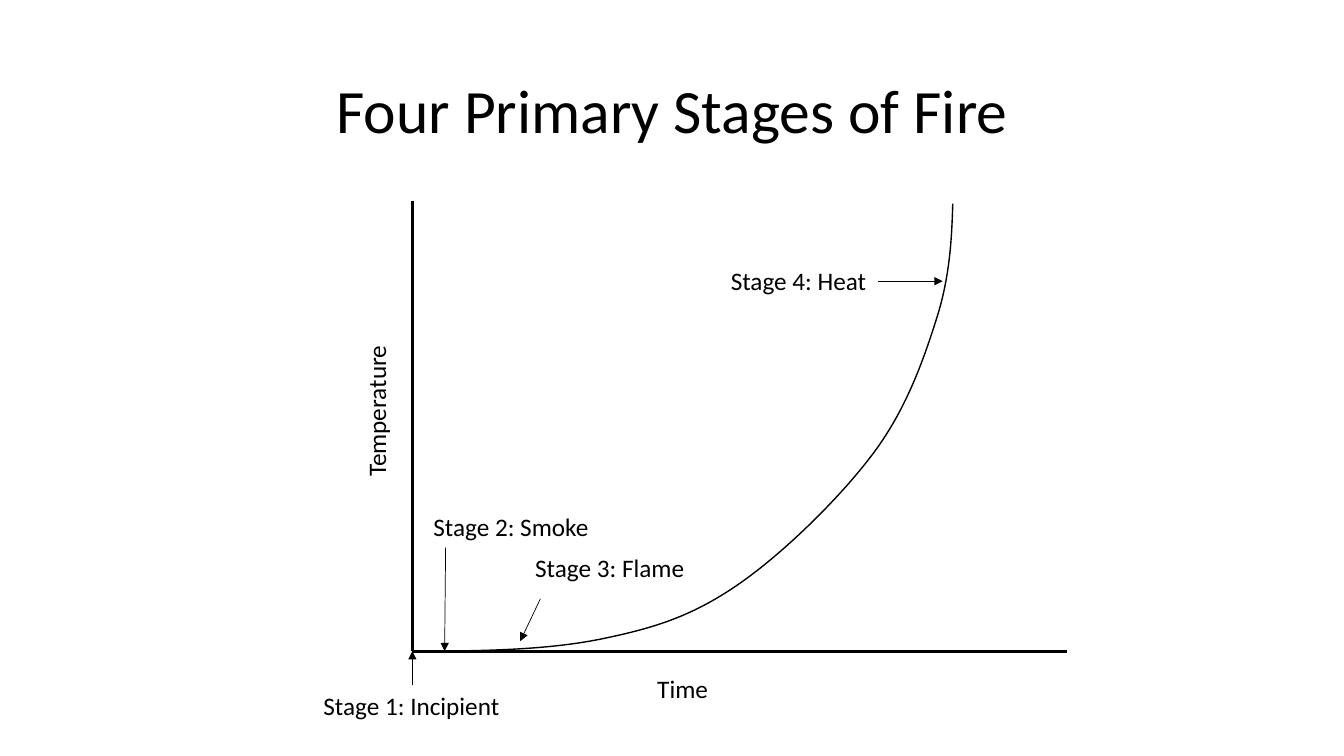
"""Build the slide on the four primary stages of fire."""
from lxml import etree
from pptx import Presentation
from pptx.dml.color import RGBColor
from pptx.enum import shapes, text
from pptx.oxml.ns import qn
from pptx.util import Inches, Pt

BLACK = RGBColor(0, 0, 0)

deck = Presentation()
deck.slide_width, deck.slide_height = Inches(13.33), Inches(7.5)
slide = deck.slides.add_slide(deck.slide_layouts[5])


def write(box, words, size):
    box.text_frame.text = words
    para = box.text_frame.paragraphs[0]
    para.font.name, para.font.size = "Calibri", Pt(size)
    para.font.color.rgb = BLACK
    return para


def rule(x1, y1, x2, y2, width):
    line = slide.shapes.add_connector(
        shapes.MSO_CONNECTOR.STRAIGHT, *map(Inches, (x1, y1, x2, y2)))
    line.line.color.rgb, line.line.width = BLACK, Pt(width)
    etree.SubElement(line._element.spPr, qn("a:effectLst"))
    return line


title = slide.shapes.title
title.left, title.top = Inches(0.92), Inches(0.4)
title.width, title.height = Inches(11.5), Inches(1.45)
title.text_frame.vertical_anchor = text.MSO_ANCHOR.MIDDLE
head = write(title, "Four Primary Stages of Fire", 44)
head.alignment, head.line_spacing = text.PP_ALIGN.CENTER, 0.9

left, base = 4.09, 6.46
rule(left, 1.99, left, base, 2)
rule(10.58, base, left, base, 2)

knots = [(4.11, 6.46), (4.77, 6.46), (5.42, 6.45), (5.96, 6.34),
         (6.5, 6.23), (6.87, 6.11), (7.32, 5.8),
         (7.77, 5.49), (8.33, 4.94), (8.66, 4.5),
         (8.99, 4.06), (9.16, 3.57), (9.29, 3.16),
         (9.42, 2.75), (9.44, 2.38), (9.45, 2.02)]
trace = slide.shapes.build_freeform(*map(Inches, knots[0]))
trace.add_line_segments([(Inches(x), Inches(y)) for x, y in knots[1:]], close=False)
curve = trace.convert_to_shape()
legs = list(curve._element.iter(qn("a:lnTo")))
for first in range(0, len(legs), 3):
    bend = etree.SubElement(legs[first].getparent(), qn("a:cubicBezTo"))
    for leg in legs[first:first + 3]:
        bend.append(leg[0])
        leg.getparent().remove(leg)
curve.shadow.inherit = False
curve.fill.background()
curve.line.color.rgb, curve.line.width = BLACK, Pt(1)

for ends in [(8.71, 2.79, 9.35, 2.79), (4.42, 5.43, 4.41, base),
             (5.36, 5.94, 5.16, 6.36), (left, 6.8, left, base)]:
    arrow = rule(*ends, 0.5)
    etree.SubElement(arrow.line._get_or_add_ln(), qn("a:tailEnd"), type="triangle")

for words, x, y, width, turn in [
        ("Stage 1: Incipient", 3.11, 6.8, 1.97, 0),
        ("Stage 2: Smoke", 4.2, 5.02, 1.76, 0),
        ("Stage 3: Flame", 5.21, 5.43, 1.7, 0),
        ("Stage 4: Heat", 7.15, 2.58, 1.56, 0),
        ("Time", 6.42, 6.63, 0.71, 0),
        ("Temperature", 2.97, 3.87, 1.52, 270)]:
    label = slide.shapes.add_textbox(*map(Inches, (x, y, width, 0.4)))
    label.rotation = turn
    label.text_frame.word_wrap = False
    label.text_frame.auto_size = text.MSO_AUTO_SIZE.SHAPE_TO_FIT_TEXT
    write(label, words, 18)

deck.save("out.pptx")
